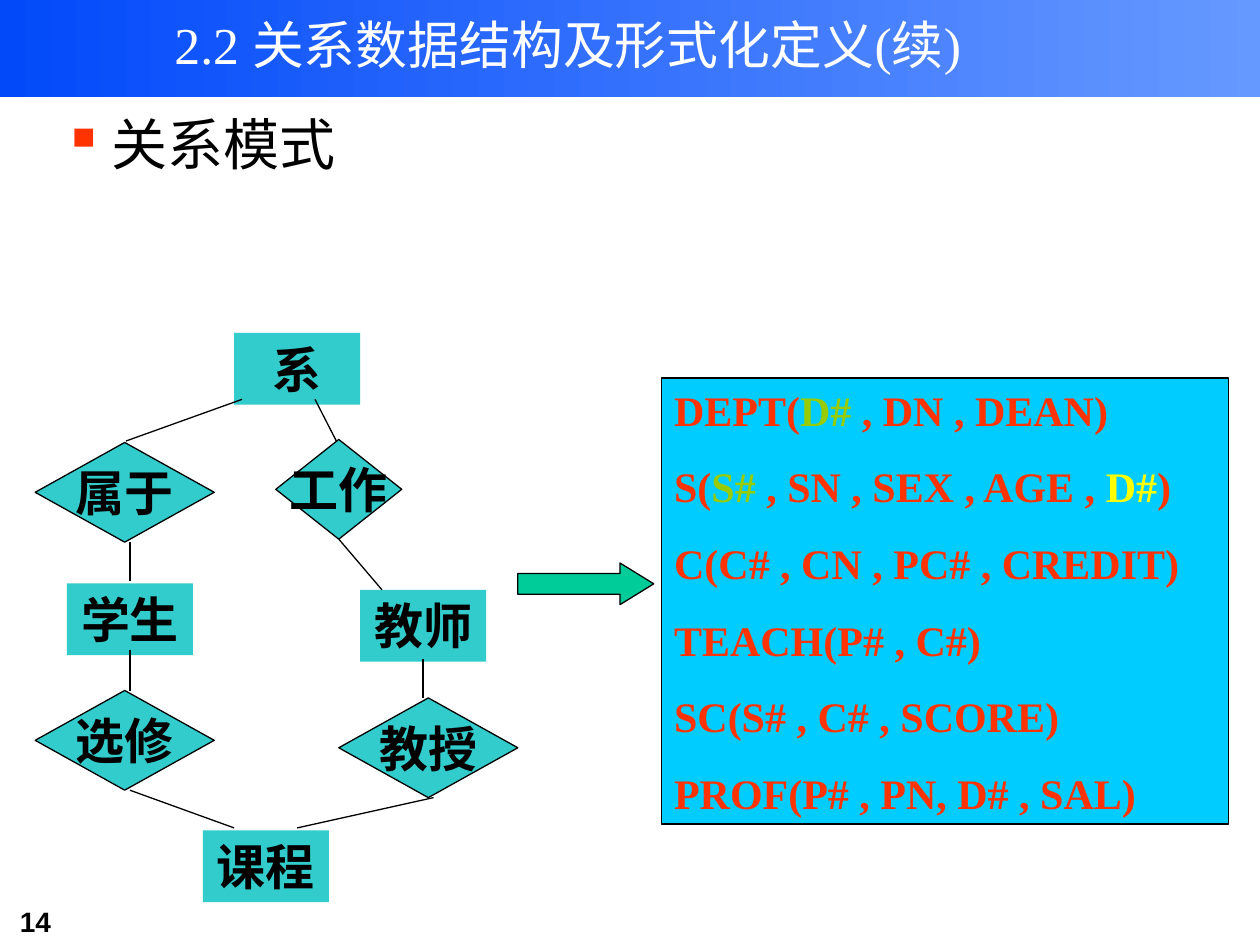
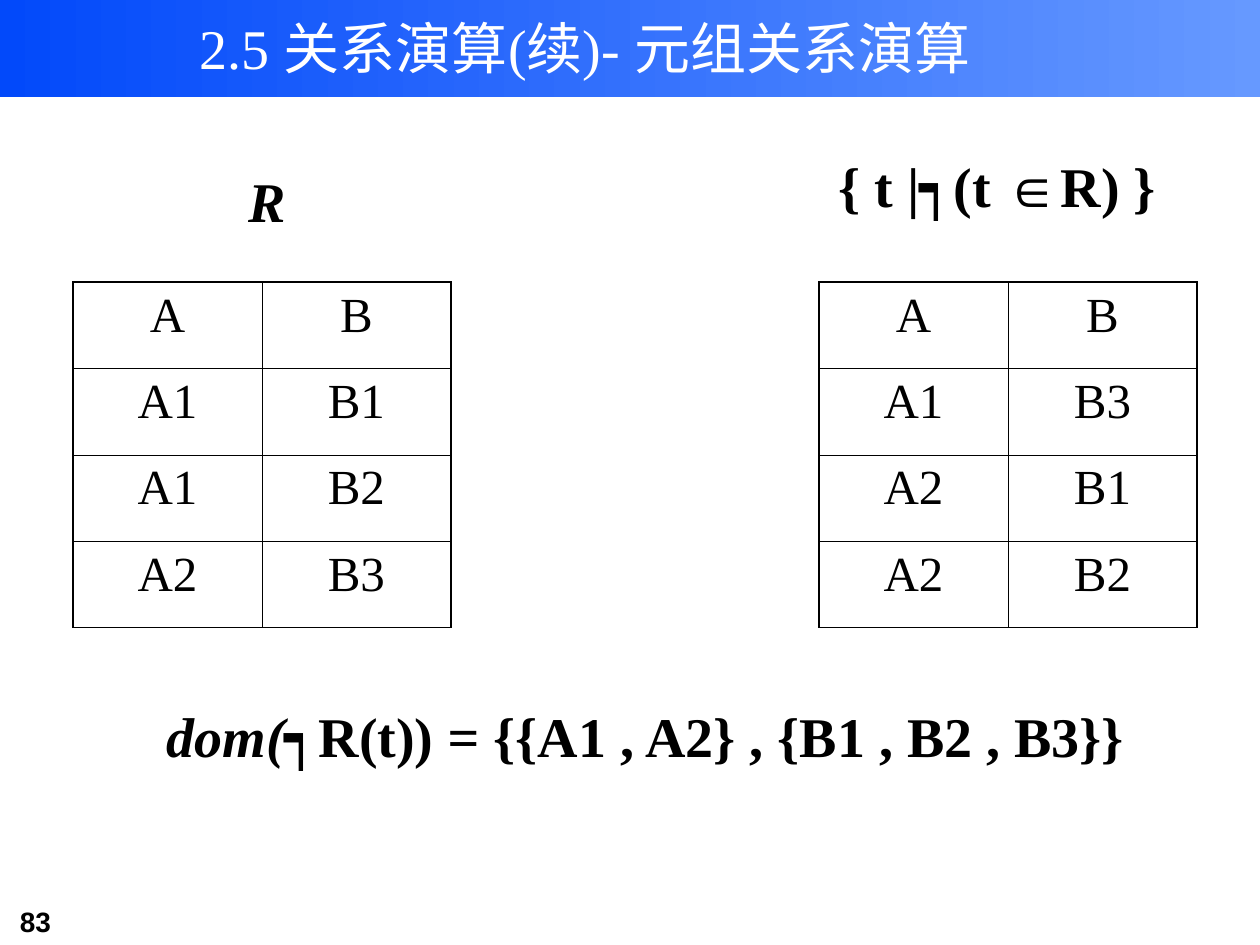
from dataclasses import dataclass

from lxml.etree import SubElement
from pptx import Presentation
from pptx.dml.color import RGBColor
from pptx.enum.shapes import MSO_CONNECTOR, MSO_SHAPE
from pptx.enum.text import MSO_ANCHOR, MSO_AUTO_SIZE, PP_ALIGN
from pptx.oxml.ns import qn
from pptx.util import Cm, Pt


@dataclass(frozen=True)
class Theme:
    serif: str = "Times New Roman"
    sans: str = "Arial"
    black: str = "000000"
    white: str = "FFFFFF"
    band_start: str = "0249FA"
    band_end: str = "6699FF"
    red: str = "FF3300"
    primary_key: str = "99CC00"
    foreign_key: str = "FFFF00"
    node: str = "33CCCC"
    arrow: str = "00CC99"
    schema: str = "00CCFF"
    number_size: float = 16
    schema_size: float = 24
    node_size: float = 28
    cell_size: float = 28
    long_title_size: float = 29.6
    large_size: float = 32
    thin: float = 0.75
    inner_border: float = 0.45
    outer_border: float = 1.08


THEME = Theme()
GROW = {"auto_size": MSO_AUTO_SIZE.SHAPE_TO_FIT_TEXT}
CENTER = {"alignment": PP_ALIGN.CENTER}
MIDDLE = {"vertical_anchor": MSO_ANCHOR.MIDDLE}
KEY = {"color": THEME.primary_key}
FOREIGN = {"color": THEME.foreign_key}
ITALIC = {"italic": True}

SCHEMA = [
    [("DEPT(", {}), ("D#", KEY), (" , DN , DEAN)", {})],
    [("S(", {}), ("S#", KEY), (" , SN , SEX , AGE , ", {}), ("D#", FOREIGN), (")", {})],
    [("C(C# , CN , PC# , CREDIT)", {})],
    [("TEACH(P# , C#)", {})],
    [("SC(S# , C# , SCORE)", {})],
    [("PROF(P# , PN, D# , SAL)", {})],
]
ENTITIES = [("学生", 1.35, 11.76), ("课程", 4.09, 16.74), ("系", 4.72, 6.71), ("教师", 7.26, 11.89)]
RELATIONSHIPS = [
    ("选修", 0.71, 13.92, 3.61),
    ("属于", 0.71, 8.92, 3.61),
    ("教授", 6.83, 14.07, 3.61),
    ("工作", 5.56, 8.86, 2.54),
]
LINKS = [
    (2.62, 11.71, 2.62, 10.92),
    (2.62, 13.92, 2.62, 13.11),
    (4.72, 16.69, 2.62, 15.93),
    (8.53, 14.07, 8.53, 13.28),
    (8.74, 16.08, 5.99, 16.69),
    (6.83, 10.87, 7.7, 11.89),
    (2.54, 8.89, 4.88, 8.05),
    (6.78, 8.89, 6.35, 8.05),
]
RELATION = [("A", "B"), ("A1", "B1"), ("A1", "B2"), ("A2", "B3")]
COMPLEMENT = [("A", "B"), ("A1", "B3"), ("A2", "B1"), ("A2", "B2")]


def rgb(value):
    return RGBColor.from_string(value)


def lengths(*values):
    return [Cm(value) for value in values]


def apply(target, values):
    for name, value in values.items():
        setattr(target, name, value)


def font_format(size, color=THEME.black, bold=False, name=THEME.serif):
    return {"name": name, "size": Pt(size), "bold": bold, "color": color}


def write_spans(paragraph, spans, font):
    for text, changes in spans:
        span = paragraph.add_run()
        span.text = text
        values = {**font, **changes}
        span.font.color.rgb = rgb(values.pop("color"))
        apply(span.font, values)


def write_text(frame, paragraphs, font, layout=None, frame_format=None, gap=0):
    apply(frame, {"word_wrap": True, "vertical_anchor": MSO_ANCHOR.TOP, **(frame_format or {})})
    for index, spans in enumerate(paragraphs):
        paragraph = frame.add_paragraph() if index else frame.paragraphs[0]
        apply(paragraph, layout or {})
        if index:
            paragraph.space_before = Pt(gap)
        write_spans(paragraph, spans, font)


def add_text(page, place, spans, font, layout=None, frame_format=None):
    box = page.shapes.add_textbox(*lengths(*place))
    write_text(box.text_frame, [spans], font, layout, frame_format)
    return box


def add_figure(page, kind, place, color, outlined=True):
    figure = page.shapes.add_shape(kind, *lengths(*place))
    figure.shadow.inherit = False
    figure.fill.solid()
    figure.fill.fore_color.rgb = rgb(color)
    if outlined:
        figure.line.color.rgb = rgb(THEME.black)
        figure.line.width = Pt(THEME.thin)
    else:
        figure.line.fill.background()
    return figure


def add_node(page, kind, place, label, outlined, frame_format):
    node = add_figure(page, kind, place, THEME.node, outlined)
    font = font_format(THEME.node_size, bold=True)
    write_text(node.text_frame, [[(label, {})]], font, CENTER, frame_format)


def add_link(page, ends):
    link = page.shapes.add_connector(MSO_CONNECTOR.STRAIGHT, *lengths(*ends))
    link.line.color.rgb = rgb(THEME.black)
    link.line.width = Pt(THEME.thin)
    SubElement(link.element.spPr, qn("a:effectLst"))


def add_band(page):
    band = add_figure(page, MSO_SHAPE.RECTANGLE, (0, 0, 25.4, 1.96), THEME.band_start, False)
    band.fill.gradient()
    band.fill.gradient_angle = 0
    for stop, color in zip(band.fill.gradient_stops, (THEME.band_start, THEME.band_end)):
        stop.color.rgb = rgb(color)


def add_page(deck, number, title, title_place, title_size):
    page = deck.slides.add_slide(deck.slide_layouts[6])
    add_band(page)
    number_font = font_format(THEME.number_size, bold=True, name=THEME.sans)
    add_text(page, (0.15, 18.11, 3.1, 0.94), [(number, {})], number_font, frame_format=GROW)
    add_text(page, title_place, [(title, {})], font_format(title_size, THEME.white), CENTER, MIDDLE)
    return page


def add_bullet(paragraph, indent):
    properties = paragraph._p.get_or_add_pPr()
    properties.set("marL", str(Cm(indent)))
    properties.set("indent", str(-Cm(indent)))
    color = SubElement(properties, qn("a:buClr"))
    SubElement(color, qn("a:srgbClr"), val=THEME.red)
    SubElement(properties, qn("a:buChar"), char="▪")
    paragraph.line_spacing = 0.9


def add_borders(cell, outer_sides):
    properties = cell._tc.get_or_add_tcPr()
    for side in "LRTB":
        width = THEME.outer_border if side in outer_sides else THEME.inner_border
        border = SubElement(properties, qn(f"a:ln{side}"), w=str(Pt(width)))
        fill = SubElement(border, qn("a:solidFill"))
        SubElement(fill, qn("a:srgbClr"), val=THEME.black)


def add_relation(page, left, rows):
    last_row, last_column = len(rows) - 1, len(rows[0]) - 1
    place = lengths(left, 5.69, 7.62, 6.96)
    table = page.shapes.add_table(len(rows), len(rows[0]), *place).table
    apply(table, {"first_row": False, "horz_banding": False})
    for row, values in enumerate(rows):
        for column, value in enumerate(values):
            cell = table.cell(row, column)
            edges = {"L": column == 0, "R": column == last_column, "T": row == 0, "B": row == last_row}
            add_borders(cell, [side for side, outer in edges.items() if outer])
            cell.fill.background()
            paragraph = cell.text_frame.paragraphs[0]
            apply(paragraph, CENTER)
            write_spans(paragraph, [(value, {})], font_format(THEME.cell_size))


def build_schema_page(deck):
    page = add_page(deck, "14", "2.2 关系数据结构及形式化定义(续)",
                    (2.34, 0.03, 18.21, 1.7), THEME.long_title_size)
    topic = add_text(page, (1.02, 2.24, 20.96, 4.24), [("关系模式", {})], font_format(THEME.large_size))
    add_bullet(topic.text_frame.paragraphs[0], 0.97)

    arrow = add_figure(page, MSO_SHAPE.RIGHT_ARROW, (10.44, 11.35, 2.74, 0.84), THEME.arrow)
    arrow.adjustments[0], arrow.adjustments[1] = 0.5, 0.81
    schema = add_figure(page, MSO_SHAPE.RECTANGLE, (13.34, 7.62, 11.43, 8.99), THEME.schema)
    schema_font = font_format(THEME.schema_size, THEME.red, bold=True)
    write_text(schema.text_frame, SCHEMA, schema_font, {"alignment": PP_ALIGN.LEFT}, GROW, gap=15)

    for label, left, top in ENTITIES:
        add_node(page, MSO_SHAPE.RECTANGLE, (left, top, 2.54, 1.45), label, False, GROW)
    for label, left, top, width in RELATIONSHIPS:
        add_node(page, MSO_SHAPE.DIAMOND, (left, top, width, 2.01), label, True,
                 {**MIDDLE, "word_wrap": False})
    for ends in LINKS:
        add_link(page, ends)


def build_calculus_page(deck):
    page = add_page(deck, "83", "2.5 关系演算(续)- 元组关系演算",
                    (2.64, 0.1, 18.31, 1.7), THEME.large_size)
    add_relation(page, 1.47, RELATION)
    add_relation(page, 16.51, COMPLEMENT)
    formulas = [
        ((4.01, 3.23, 2.74, 1.63), [("R", ITALIC)]),
        ((16.08, 2.92, 8.05, 1.63),
         [("{ t |", {}), ("┑", ITALIC), ("(t ", {}), ("∈", {"name": THEME.sans}), ("R) }", {})]),
        ((1.9, 14.02, 22.23, 1.63),
         [("dom(┑", ITALIC), ("R(t)) ", {}), ("= ", ITALIC), ("{{A1 , A2} , {B1 , B2 , B3}}", {})]),
    ]
    for place, spans in formulas:
        add_text(page, place, spans, font_format(THEME.large_size, bold=True), CENTER, GROW)


def main():
    deck = Presentation()
    apply(deck, {"slide_width": Cm(25.4), "slide_height": Cm(19.05)})
    build_schema_page(deck)
    build_calculus_page(deck)
    deck.save("out.pptx")


if __name__ == "__main__":
    main()
